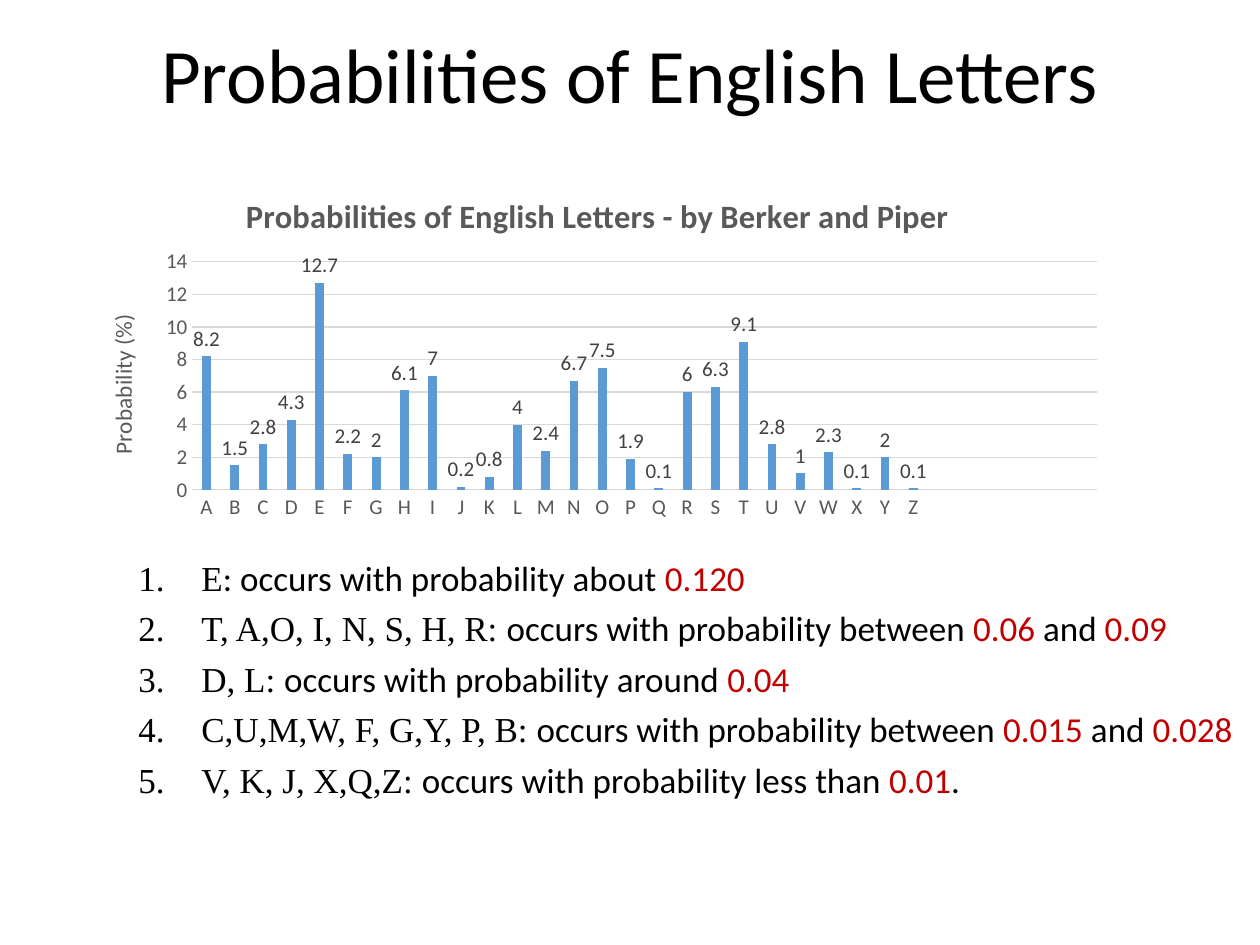
import pptx
import pptx.chart.data
import pptx.dml.color
import pptx.enum.chart
import pptx.enum.text
import pptx.oxml
import pptx.oxml.ns
import pptx.util

PX = 914400 / 126

THEME = {
    "black": "000000", "red": "C00000", "bar": "5B9BD5", "grid": "D9D9D9",
    "axis": "595959", "label": "404040",
    "sans": "Calibri", "serif": "Times New Roman",
    "title": 44, "body": 20, "chart_title": 18.6, "axis_title": 13.3, "tick": 12,
}


def px(*lengths):
    return [pptx.util.Emu(round(length * PX)) for length in lengths]


def style(font, size, color, face="sans", bold=False):
    values = {"name": THEME[face], "size": pptx.util.Pt(THEME[size]), "bold": bold}
    for key, value in values.items():
        setattr(font, key, value)
    font.color.rgb = pptx.dml.color.RGBColor.from_string(THEME[color])


deck = pptx.Presentation()
deck.slide_width, deck.slide_height = px(1260, 945)
slide = deck.slides.add_slide(deck.slide_layouts[6])

# Heading
heading = slide.shapes.add_textbox(*px(0, 0, 1260, 158)).text_frame
heading.word_wrap = True
heading.vertical_anchor = pptx.enum.text.MSO_ANCHOR.MIDDLE
line = heading.paragraphs[0]
line.alignment = pptx.enum.text.PP_ALIGN.CENTER
line.line_spacing = 0.9
run = line.add_run()
run.text = "Probabilities of English Letters"
style(run.font, "title", "black")

# Letter frequencies, followed by six unused slots
letters = "ABCDEFGHIJKLMNOPQRSTUVWXYZ"
percentages = [8.2, 1.5, 2.8, 4.3, 12.7, 2.2, 2, 6.1, 7, 0.2, 0.8, 4, 2.4,
               6.7, 7.5, 1.9, 0.1, 6, 6.3, 9.1, 2.8, 1, 2.3, 0.1, 2, 0.1]
spare = 6
frequencies = pptx.chart.data.CategoryChartData()
frequencies.categories = list(letters) + [""] * spare
frequencies.add_series("Series 1", percentages + [None] * spare)
chart = slide.shapes.add_chart(
    pptx.enum.chart.XL_CHART_TYPE.COLUMN_CLUSTERED,
    *px(78, 174, 1040, 351), frequencies).chart
chart.has_legend = False
style(chart.font, "tick", "axis")

# Axes and titles
letter_axis, percent_axis = chart.category_axis, chart.value_axis
for axis in (letter_axis, percent_axis):
    axis.major_tick_mark = pptx.enum.chart.XL_TICK_MARK.NONE
    style(axis.tick_labels.font, "tick", "axis")
scale = {"minimum_scale": 0, "maximum_scale": 14, "major_unit": 2,
         "has_major_gridlines": True}
for key, value in scale.items():
    setattr(percent_axis, key, value)
percent_axis.format.line.fill.background()
for rule in (letter_axis.format.line, percent_axis.major_gridlines.format.line):
    rule.width = pptx.util.Pt(0.75)
    rule.color.rgb = pptx.dml.color.RGBColor.from_string(THEME["grid"])

for owner, caption, size, bold in (
        (chart, "Probabilities of English Letters - by Berker and Piper",
         "chart_title", True),
        (percent_axis, "Probability (%)", "axis_title", False)):
    frame = (owner.chart_title if owner is chart else owner.axis_title).text_frame
    run = frame.paragraphs[0].add_run()
    run.text = caption
    style(run.font, size, "axis", bold=bold)

# Bars and their values
plot = chart.plots[0]
for key, value in {"gap_width": 219, "overlap": -27,
                   "vary_by_categories": False, "has_data_labels": True}.items():
    setattr(plot, key, value)
plot.data_labels.show_value = True
plot.data_labels.position = pptx.enum.chart.XL_LABEL_POSITION.OUTSIDE_END
style(plot.data_labels.font, "tick", "label")
bars = plot.series[0].format.fill
bars.solid()
bars.fore_color.rgb = pptx.dml.color.RGBColor.from_string(THEME["bar"])

# Fixed plot area inside the chart
plot_area = chart._chartSpace.chart.plotArea
for old in plot_area.findall(pptx.oxml.ns.qn("c:layout")):
    plot_area.remove(old)
place = "".join(f'<c:{key} val="{value}"/>' for key, value in {
    "layoutTarget": "inner", "xMode": "edge", "yMode": "edge",
    "x": 0.11, "y": 0.25, "w": 0.87, "h": 0.65}.items())
plot_area.insert(0, pptx.oxml.parse_xml(
    f'<c:layout {pptx.oxml.ns.nsdecls("c")}>'
    f'<c:manualLayout>{place}</c:manualLayout></c:layout>'))

# Numbered letter groups: letters, then wording alternating with values
groups = [
    ("E", ": occurs with probability about ", "0.120"),
    ("T, A,O, I, N, S, H, R: ", "occurs with probability between ", "0.06 ", "and ", "0.09"),
    ("D, L: ", "occurs with probability around ", "0.04"),
    ("C,U,M,W, F, G,Y, P, B: ", "occurs with probability between ", "0.015", " and ", "0.028"),
    ("V, K, J, X,Q,Z: ", "occurs with probability less than ", "0.01", "."),
]
group_list = slide.shapes.add_textbox(*px(0, 542, 1260, 267)).text_frame
group_list.word_wrap = True
margin, hanging = px(189, -63)
for number, parts in enumerate(groups):
    line = group_list.add_paragraph() if number else group_list.paragraphs[0]
    line.level = 2
    line.line_spacing = 1.2
    properties = line._p.get_or_add_pPr()
    for key, value in {"marL": margin, "indent": hanging}.items():
        properties.set(key, str(int(value)))
    properties.append(pptx.oxml.parse_xml(
        f'<a:buFont {pptx.oxml.ns.nsdecls("a")} typeface="{THEME["serif"]}"/>'))
    properties.append(pptx.oxml.parse_xml(
        f'<a:buAutoNum {pptx.oxml.ns.nsdecls("a")} type="arabicPeriod"/>'))
    for position, text in enumerate(parts):
        run = line.add_run()
        run.text = text
        is_value = position > 0 and position % 2 == 0
        style(run.font, "body", "red" if is_value else "black",
              "sans" if position else "serif")

deck.save("out.pptx")
